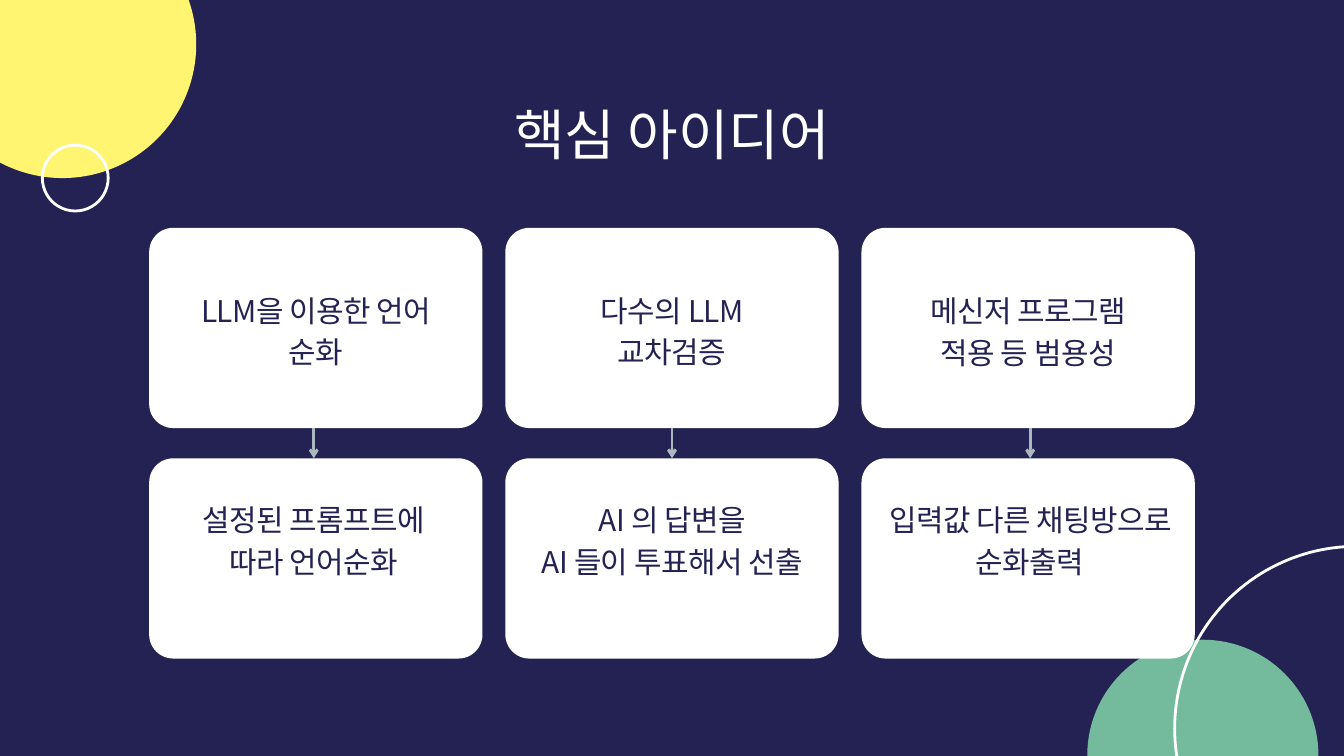
from pptx import Presentation
from pptx.dml.color import RGBColor
from pptx.enum.shapes import MSO_CONNECTOR, MSO_SHAPE
from pptx.enum.text import MSO_AUTO_SIZE, PP_ALIGN
from pptx.oxml.ns import qn
from pptx.util import Inches, Pt
from lxml import etree

STRAIGHT = MSO_CONNECTOR.STRAIGHT
OVAL, ROUNDED = MSO_SHAPE.OVAL, MSO_SHAPE.ROUNDED_RECTANGLE
FIT_TEXT = MSO_AUTO_SIZE.SHAPE_TO_FIT_TEXT
CENTER = PP_ALIGN.CENTER

COLUMNS, ROWS = 20, 11.25
NAVY, WHITE, YELLOW, GREEN, GRAY = "232253", "FFFFFF", "FFF570", "74BA9C", "ACB8C0"
KOREAN, CHINESE, LATIN = "Noto Sans CJK KR", "Noto Sans CJK SC", "Calibri"

CARD_WIDTH, CARD_HEIGHT, CARD_PITCH = 4.96, 2.98, 5.3
IDEA_TOP, RESULT_TOP = 3.39, 6.82
ARROW_PITCH = 5.33

FLOWS = [
    (("LLM을 이용한 언어 순화",), 4.26, CHINESE, ("설정된 프롬프트에 따라 언어순화",), 4.13),
    (("다수의 LLM 교차검증",), 4.26, CHINESE, ("AI 의 답변을", "AI 들이 투표해서 선출"), 4.25),
    (("메신저 프로그램 적용 등 범용성",), 4.27, LATIN, ("입력값 다른 채팅방으로 순화출력",), 4.63),
]


def color(value):
    return RGBColor.from_string(value)


class Deck:
    """Holds the style and the current slide, measured in grid columns and rows."""

    def __init__(self):
        self.deck = Presentation()
        self.deck.slide_width = Inches(COLUMNS)
        self.deck.slide_height = Inches(ROWS)
        self.slide = self.deck.slides.add_slide(self.deck.slide_layouts[6])
        self.slide.background.fill.solid()
        self.slide.background.fill.fore_color.rgb = color(NAVY)
        self.shapes = self.slide.shapes

    def figure(self, preset, left, top, width, height, fill=None, outline=None):
        figure = self.shapes.add_shape(preset, *map(Inches, (left, top, width, height)))
        figure.shadow.inherit = False
        if fill:
            figure.fill.solid()
            figure.fill.fore_color.rgb = color(fill)
        else:
            figure.fill.background()
        if outline:
            figure.line.color.rgb = color(outline)
            figure.line.width = Pt(3)
        else:
            figure.line.fill.background()
        return figure

    def circle(self, left, top, diameter, **paint):
        self.figure(OVAL, left, top, diameter, diameter, **paint)

    def card(self, middle, top):
        card = self.figure(ROUNDED, middle - CARD_WIDTH / 2, top, CARD_WIDTH, CARD_HEIGHT, WHITE)
        card.adjustments[0] = 0.12

    def text(self, lines, middle, top, width, height,
             size=32, leading=44.8, face=CHINESE, ink=NAVY, tracking=-60):
        box = self.shapes.add_textbox(*map(Inches, (middle - width / 2, top, width, height)))
        frame = box.text_frame
        frame_format = dict(word_wrap=True, auto_size=FIT_TEXT, margin_left=0,
                            margin_right=0, margin_top=0, margin_bottom=0)
        for name, value in frame_format.items():
            setattr(frame, name, value)
        frame.text = "\n".join(lines)
        for paragraph in frame.paragraphs:
            paragraph.alignment = CENTER
            paragraph.line_spacing = Pt(leading)
            run = paragraph.runs[0]
            for name, value in dict(size=Pt(size), name=face).items():
                setattr(run.font, name, value)
            run.font.color.rgb = color(ink)
            properties = run.font._element
            properties.set("spc", str(tracking))
            etree.SubElement(properties, qn("a:ea")).set("typeface", face)

    def arrow(self, column, start, end):
        arrow = self.shapes.add_connector(STRAIGHT, *map(Inches, (column, start, column, end)))
        arrow.line.color.rgb = color(GRAY)
        arrow.line.width = Pt(3)
        etree.SubElement(arrow.line._get_or_add_ln(), qn("a:tailEnd")).set("type", "arrow")
        etree.SubElement(arrow._element.spPr, qn("a:effectLst"))

    def save(self):
        self.deck.save("out.pptx")


def main():
    deck = Deck()
    center = COLUMNS / 2
    deck.circle(-1.06, -1.33, 3.98, fill=YELLOW)
    deck.circle(16.18, 9.52, 3.44, fill=GREEN)
    deck.circle(17.48, 8.13, 5.42, outline=WHITE)
    deck.circle(0.63, 2.16, 0.98, outline=WHITE)
    for step in (-1, 0, 1):
        for top in (IDEA_TOP, RESULT_TOP):
            deck.card(center + step * CARD_PITCH, top)
    deck.text(["핵심 아이디어"], center, 1.4, 9.86, 1.09,
              size=58.9, leading=77.8, face=KOREAN, ink=WHITE, tracking=0)
    for step, (idea, idea_top, face, result, result_width) in enumerate(FLOWS, -1):
        flow = center + step * ARROW_PITCH
        deck.text(idea, center + step * CARD_PITCH, idea_top, 3.65, 1.22, face=face)
        deck.text(result, flow, 7.38, result_width, 1.22)
        deck.arrow(flow, IDEA_TOP + CARD_HEIGHT, RESULT_TOP)
    deck.save()


if __name__ == "__main__":
    main()
